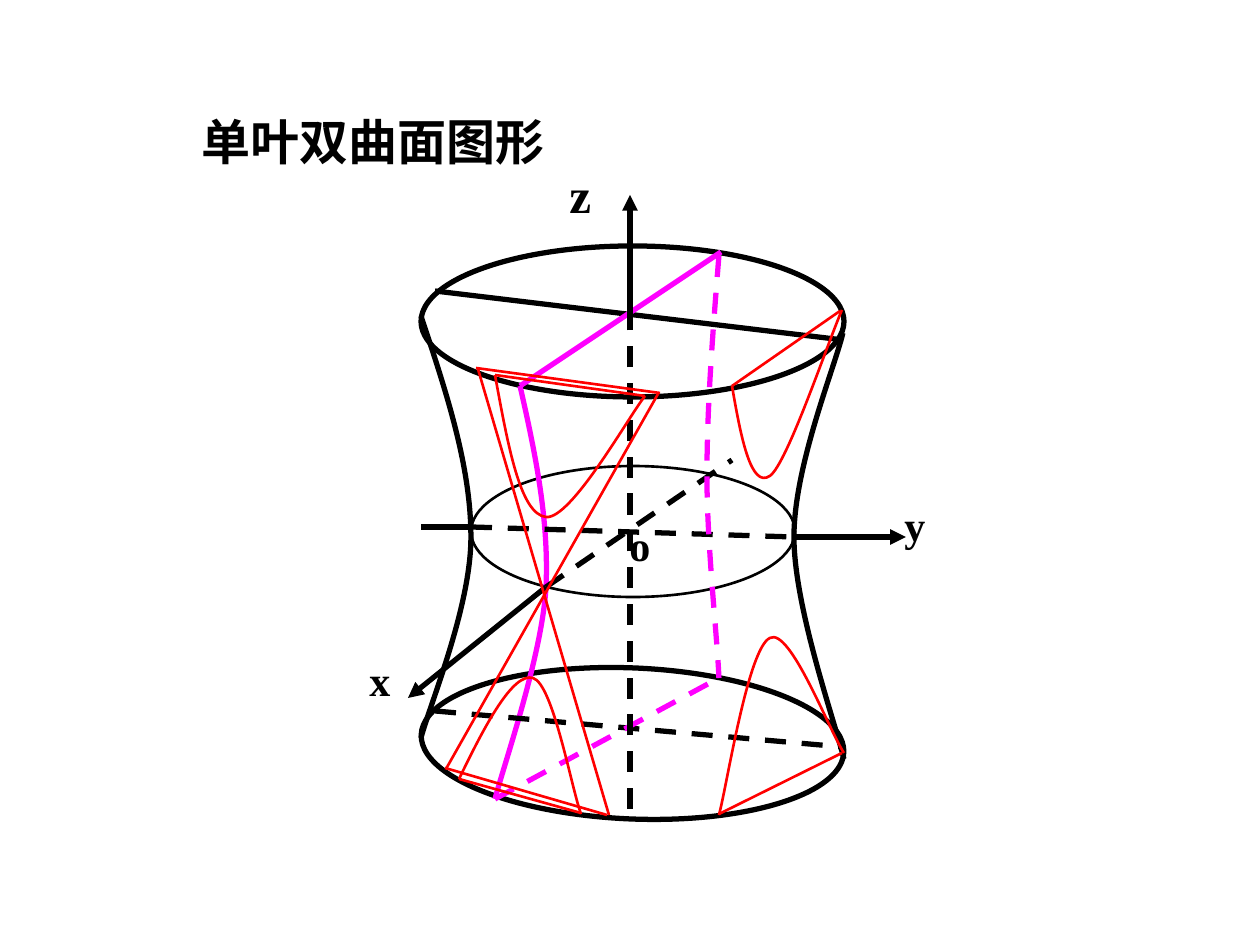
from lxml import etree
from pptx import Presentation
from pptx.dml.color import RGBColor
from pptx.enum.dml import MSO_LINE
from pptx.enum.shapes import MSO_CONNECTOR, MSO_SHAPE
from pptx.enum.text import MSO_ANCHOR, MSO_AUTO_SIZE, PP_ALIGN
from pptx.oxml.ns import qn
from pptx.util import Pt

PX = 914400 / 126
DASH = MSO_LINE.DASH
STRAIGHT = MSO_CONNECTOR.STRAIGHT
OVAL = MSO_SHAPE.OVAL
COLORS = {"ink": "000000", "section": "FF00FF", "cut": "FF0000"}
WIDTHS = {"ink": 3, "section": 3, "cut": 1.5}
FONT = {"name": "Times New Roman", "bold": True}
FRAME = {"word_wrap": True, "auto_size": MSO_AUTO_SIZE.NONE,
         "vertical_anchor": MSO_ANCHOR.TOP}

RINGS = [
    (106, 120, 423, 151, 0, 3),
    (106, 542, 423, 151, 2.4, 3),
    (156, 340, 324, 131, 0, 1.5),
]

STROKES = [
    ("ink", "", [(106, 190), (131, 265), (156, 340), (156, 411),
                 (156, 481), (115, 578), (106, 612)]),
    ("section", "", [(205, 260), (220, 326), (234, 393), (231, 461),
                     (227, 530), (189, 638), (180, 673)]),
    ("ink", "dash", [(120, 585), (528, 621)]),
    ("ink", "", [(120, 165), (528, 214)]),
    ("section", "", [(205, 260), (406, 126)]),
    ("section", "dash", [(180, 673), (404, 552)]),
    ("ink", "", [(528, 207), (520, 241), (479, 340), (479, 411),
                 (479, 481), (520, 596), (529, 633)]),
    ("ink", "dash", [(156, 401), (479, 411)]),
    ("ink", "dash", [(231, 461), (417, 334)]),
    ("section", "dash", [(404, 130), (398, 205), (392, 280), (392, 350),
                         (392, 421), (403, 518), (404, 552)]),
    ("ink", "arrow", [(231, 461), (93, 572)]),
    ("ink", "arrow", [(479, 411), (591, 411)]),
    ("ink", "dash", [(315, 683), (315, 179)]),
    ("ink", "arrow", [(315, 190), (315, 69)]),
    ("cut", "", [(294, 689), (163, 243)]),
    ("cut", "", [(343, 268), (131, 643)]),
    ("cut", "", [(180, 249), (193, 319), (205, 388), (231, 391),
                 (256, 394), (314, 290), (330, 270)]),
    ("cut", "", [(180, 249), (330, 270)]),
    ("cut", "", [(144, 653), (170, 599), (198, 546), (218, 552),
                 (238, 558), (256, 660), (266, 688)]),
    ("cut", "", [(130, 642), (292, 689)]),
    ("cut", "", [(144, 653), (266, 687)]),
    ("cut", "", [(161, 242), (345, 267)]),
    ("cut", "", [(404, 689), (412, 660), (433, 522), (455, 512),
                 (475, 501), (514, 604), (529, 627)]),
    ("cut", "", [(404, 688), (527, 627)]),
    ("cut", "", [(417, 260), (426, 312), (436, 363), (455, 350),
                 (472, 338), (512, 219), (527, 184)]),
    ("cut", "", [(417, 260), (525, 185)]),
    ("ink", "", [(156, 401), (106, 401)]),
]

AXIS_LABELS = [("x", 42, 522, 24), ("y", 577, 367, 24),
               ("o", 302, 387, 24), ("z", 242, 32, 28)]


def emu(*lengths):
    return [round(length * PX) for length in lengths]


def set_all(target, values):
    for key, value in values.items():
        setattr(target, key, value)


def write(holder, words, size):
    frame = holder.text_frame
    set_all(frame, FRAME)
    paragraph = frame.paragraphs[0]
    paragraph.alignment = PP_ALIGN.LEFT
    run = paragraph.add_run()
    run.text = words
    set_all(run.font, {**FONT, "size": Pt(size)})
    run.font.color.rgb = RGBColor.from_string(COLORS["ink"])


def pen(outline, color, width, style=""):
    line = outline.line
    line.color.rgb = RGBColor.from_string(COLORS[color])
    line.width = Pt(width)
    if style == "dash":
        line.dash_style = DASH
    if style == "arrow":
        stroke = outline._element.spPr.find(qn("a:ln"))
        etree.SubElement(stroke, qn("a:tailEnd"), type="triangle")
    etree.SubElement(outline._element.spPr, qn("a:effectLst"))


def add_curve(slide, points):
    builder = slide.shapes.build_freeform(*points[0])
    builder.add_line_segments(points[1:], close=False)
    curve = builder.convert_to_shape()
    curve.fill.background()
    outline = next(curve._element.iter(qn("a:path")))
    segments = outline.findall(qn("a:lnTo"))
    for first in range(0, len(segments), 3):
        bezier = etree.SubElement(outline, qn("a:cubicBezTo"))
        for segment in segments[first:first + 3]:
            bezier.append(segment[0])
            outline.remove(segment)
    return curve


def add_hyperboloid(slide, left, top):
    for x, y, width, height, turn, weight in RINGS:
        ring = slide.shapes.add_shape(OVAL, *emu(left + x, top + y, width, height))
        ring.rotation = turn
        ring.fill.background()
        pen(ring, "ink", weight)
    for color, style, track in STROKES:
        points = [tuple(emu(left + x, top + y)) for x, y in track]
        if len(points) == 2:
            stroke = slide.shapes.add_connector(STRAIGHT, *points[0], *points[1])
        else:
            stroke = add_curve(slide, points)
        pen(stroke, color, WIDTHS[color], style)
    for letter, x, y, size in AXIS_LABELS:
        label = slide.shapes.add_textbox(*emu(left + x, top + y, 48, 66))
        write(label, letter, size)


def add_title(slide, left, top, width, height):
    title = slide.shapes.title
    title.left, title.top, title.width, title.height = emu(left, top, width, height)
    write(title, "单叶双曲面图形", 28)


def main():
    deck = Presentation()
    deck.slide_width, deck.slide_height = emu(1260, 945)
    slide = deck.slides.add_slide(deck.slide_layouts[5])
    add_title(slide, 189, 105, 504, 72)
    add_hyperboloid(slide, 315, 126)
    deck.save("out.pptx")


if __name__ == "__main__":
    main()
